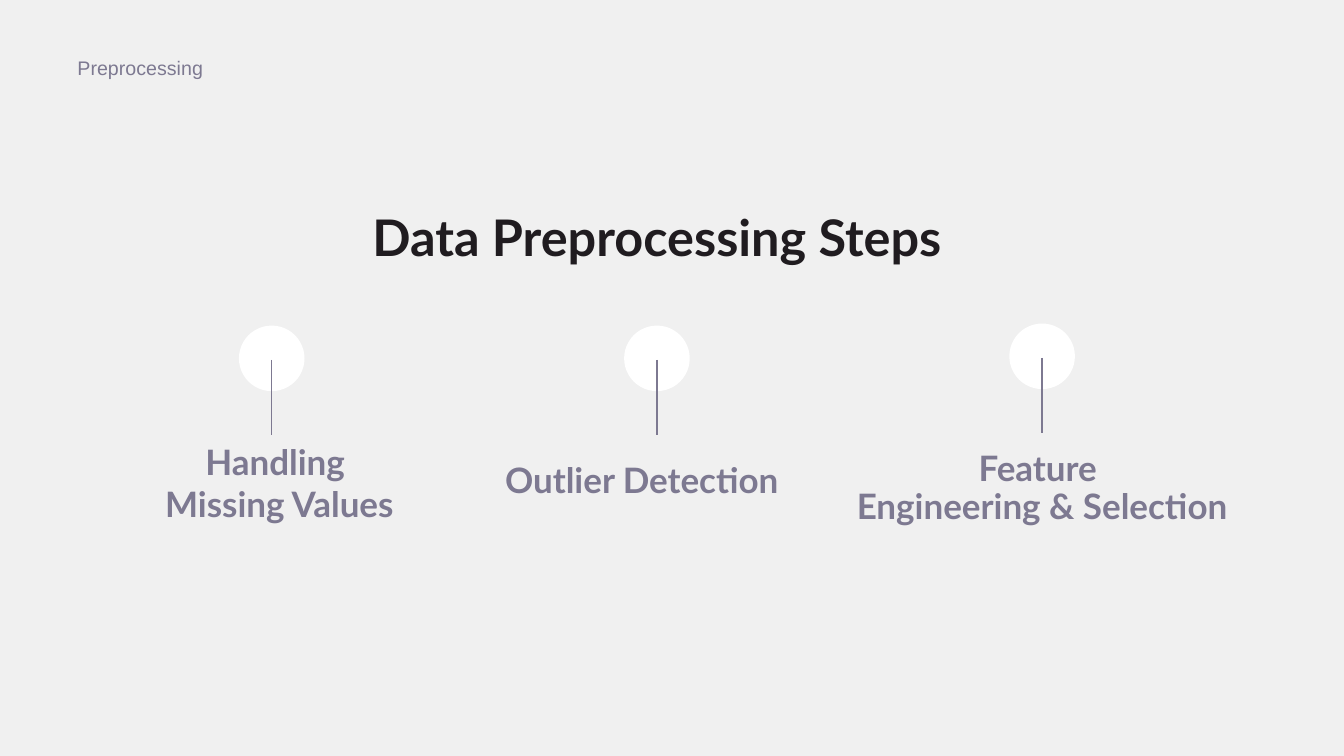
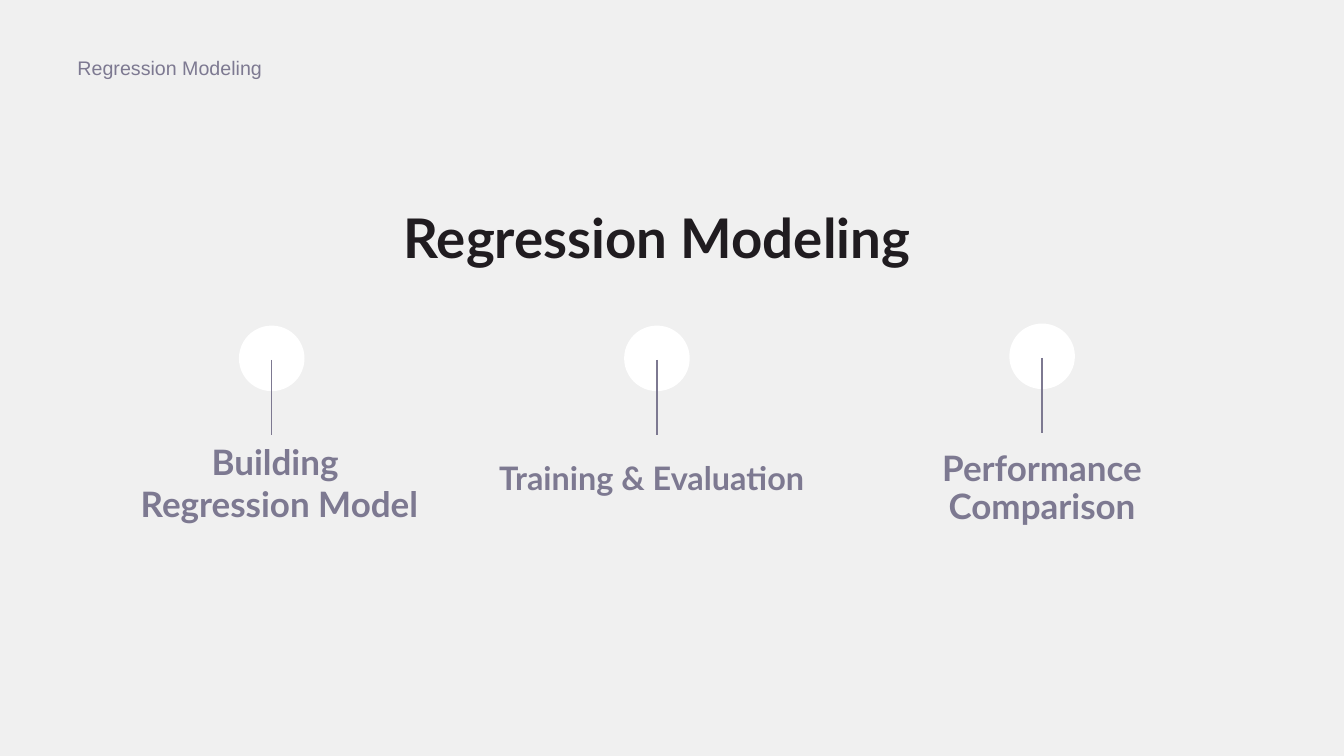
"""Build two slides that each show three process steps under a heading."""
from lxml.etree import SubElement
from pptx import Presentation
from pptx.dml.color import RGBColor
from pptx.enum.shapes import MSO_CONNECTOR, MSO_SHAPE
from pptx.enum.text import MSO_ANCHOR, MSO_AUTO_SIZE as AutoSize, PP_ALIGN as Align
from pptx.oxml.ns import qn
from pptx.util import Inches, Pt

COLORS = {"background": "F0F0F0", "title": "201C20", "accent": "7D7991", "circle": "FFFFFF"}
WIDTH, HEIGHT = Inches(13.33), Inches(7.5)
COMPARISON_LAYOUT = 4

# Boxes are left, top, width and height in percent of the slide.
SECTION_BOX = (5.03, 6.67, 45, 4.53)
TITLE_BOX = (22.88, 26, 52, 11.6)
LEFT_BOX = (1.43, 57.6, 38.71, 8.67)
RIGHT_BOX = (60.39, 59.07, 34.28, 8.67)
MARKER_LEFT, MARKER_STEP = 17.78, 28.66
MARKER_TOPS = (43.07, 43.07, 42.8)
CIRCLE_SIZE = (4.88, 8.67)
STEM_DROP, STEM_LENGTH = 4.53, 10

SLIDES = [
    {
        "section": "Preprocessing",
        "title": ("Data Preprocessing Steps", 36),
        "steps": [
            ("Handling \nMissing Values", LEFT_BOX, {}),
            ("Outlier Detection", (36.83, 60, 24, 8.67), {"align": Align.LEFT}),
            ("Feature \nEngineering & Selection", RIGHT_BOX, {"line_spacing": 0.9}),
        ],
    },
    {
        "section": "Regression Modeling",
        "title": ("Regression Modeling", 39),
        "steps": [
            ("Building \nRegression Model", LEFT_BOX, {}),
            ("Training & Evaluation", (36.38, 60, 27.31, 8.67), {"align": Align.LEFT, "size": 23.1}),
            ("Performance\nComparison", RIGHT_BOX, {"line_spacing": 0.9}),
        ],
    },
]


def across(percent):
    """Return a share of the slide's width."""
    return round(WIDTH * percent / 100)


def down(percent):
    """Return a share of the slide's height."""
    return round(HEIGHT * percent / 100)


def scale(box):
    """Turn a box in percent into lengths."""
    left, top, width, height = box
    return across(left), down(top), across(width), down(height)


def place(shape, box):
    """Move and size a shape."""
    shape.left, shape.top, shape.width, shape.height = scale(box)


def write(shape, text, size=25, font="Lato", color="accent", bold=True, align=Align.CENTER,
          line_spacing=1.0, anchor=MSO_ANCHOR.TOP, auto_size=AutoSize.NONE):
    """Fill a shape with one formatted paragraph for each line of text."""
    frame = shape.text_frame
    frame.text = text
    frame.word_wrap = True
    frame.auto_size = auto_size
    frame.vertical_anchor = anchor
    for paragraph in frame.paragraphs:
        properties = paragraph._p.get_or_add_pPr()
        properties.set("marL", "0")
        properties.set("indent", "0")
        SubElement(properties, qn("a:buNone"))
        paragraph.alignment = align
        paragraph.line_spacing = line_spacing
        paragraph.space_before = Pt(0)
        for run in paragraph.runs:
            run.font.size = Pt(size)
            run.font.name = font
            run.font.bold = bold
            run.font.color.rgb = RGBColor.from_string(COLORS[color])


def add_section_label(slide, text):
    """Add the section name at the top left."""
    label = slide.shapes.add_textbox(*scale(SECTION_BOX))
    write(label, text, size=14, font="Arial", bold=False, align=Align.LEFT,
          auto_size=AutoSize.SHAPE_TO_FIT_TEXT)


def add_marker(slide, left, top):
    """Add a grouped circle with a stem that hangs from its middle."""
    shapes = slide.shapes.add_group_shape().shapes
    circle = shapes.add_shape(MSO_SHAPE.OVAL, *scale((left, top, *CIRCLE_SIZE)))
    circle.shadow.inherit = False
    circle.fill.solid()
    circle.fill.fore_color.rgb = RGBColor.from_string(COLORS["circle"])
    circle.line.fill.background()

    middle = across(left + CIRCLE_SIZE[0] / 2)
    start = top + STEM_DROP
    stem = shapes.add_connector(MSO_CONNECTOR.STRAIGHT, middle, down(start),
                                middle, down(start + STEM_LENGTH))
    stem.line.color.rgb = RGBColor.from_string(COLORS["accent"])
    stem.line.width = Pt(1)
    SubElement(stem._element.spPr, qn("a:effectLst"))


def add_steps_slide(presentation, section, title, steps):
    """Add a slide with a section label, a title and three marked steps."""
    slide = presentation.slides.add_slide(presentation.slide_layouts[COMPARISON_LAYOUT])
    add_section_label(slide, section)
    heading, *bodies, spare = slide.placeholders
    spare.element.getparent().remove(spare.element)

    text, size = title
    place(heading, TITLE_BOX)
    write(heading, text, size=size, color="title", line_spacing=0.9, anchor=MSO_ANCHOR.MIDDLE)
    for body, (text, box, options) in zip(bodies, steps):
        place(body, box)
        write(body, text, **options)
    for column, top in enumerate(MARKER_TOPS):
        add_marker(slide, MARKER_LEFT + column * MARKER_STEP, top)


def main():
    """Build and save the presentation."""
    presentation = Presentation()
    presentation.slide_width, presentation.slide_height = WIDTH, HEIGHT
    background = presentation.slide_master.background.fill
    background.solid()
    background.fore_color.rgb = RGBColor.from_string(COLORS["background"])
    for content in SLIDES:
        add_steps_slide(presentation, **content)
    presentation.save("out.pptx")


if __name__ == "__main__":
    main()
